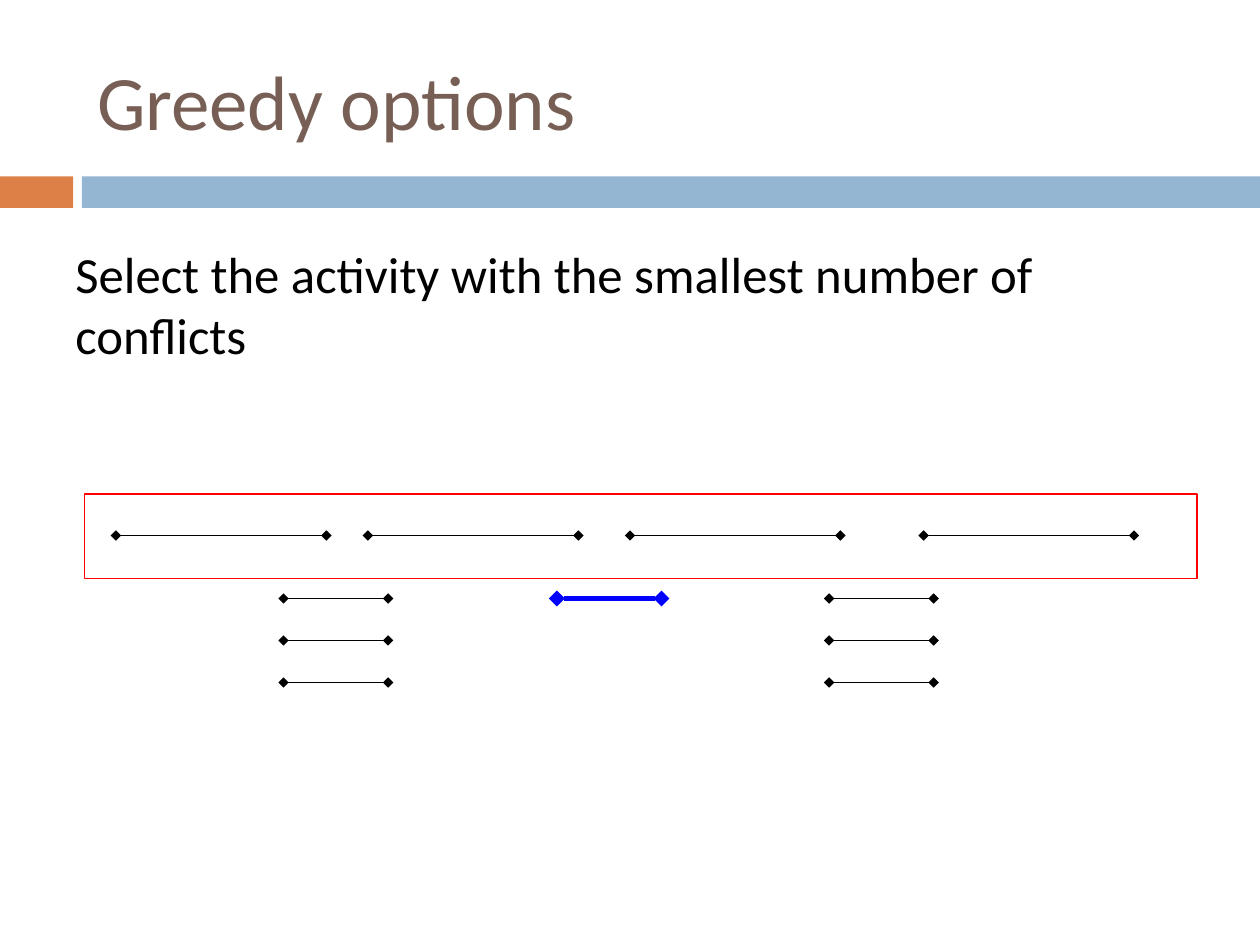
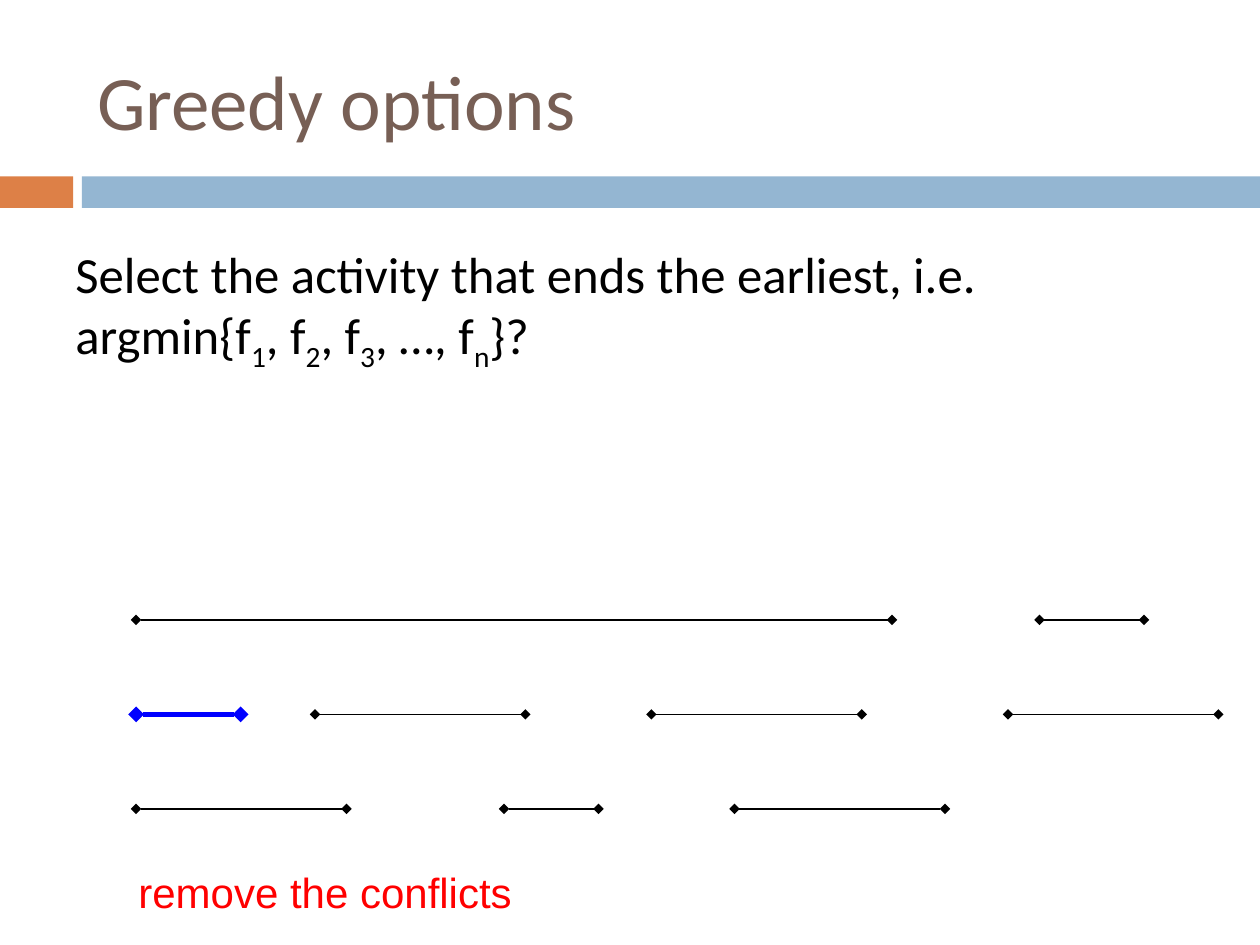
from dataclasses import dataclass

from lxml.etree import SubElement
from pptx import Presentation
from pptx.dml.color import RGBColor
from pptx.enum.shapes import MSO_CONNECTOR, MSO_SHAPE
from pptx.enum.text import MSO_ANCHOR, MSO_AUTO_SIZE, PP_ALIGN
from pptx.oxml.ns import qn
from pptx.util import Inches, Pt


@dataclass(frozen=True)
class Theme:
    title_color: RGBColor = RGBColor(0x77, 0x5F, 0x55)
    accent: RGBColor = RGBColor(0xDD, 0x80, 0x47)
    band: RGBColor = RGBColor(0x94, 0xB6, 0xD2)
    ink: RGBColor = RGBColor(0, 0, 0)
    chosen: RGBColor = RGBColor(0, 0, 0xFF)
    alert: RGBColor = RGBColor(0xFF, 0, 0)
    heading_font: str = "Calibri"
    note_font: str = "Arial"
    title_size: int = 44
    body_size: int = 29
    note_size: int = 24
    thin: float = 0.75
    thick: float = 3


THEME = Theme()
LONG = 1.67
SHORT = 0.83


def format_font(font, name, size, color):
    font.name = name
    font.size = Pt(size)
    font.color.rgb = color


def add_rectangle(slide, left, top, width, height, fill=None, line=None):
    shape = slide.shapes.add_shape(
        MSO_SHAPE.RECTANGLE, Inches(left), Inches(top), Inches(width), Inches(height))
    shape.shadow.inherit = False
    if fill is None:
        shape.fill.background()
    else:
        shape.fill.solid()
        shape.fill.fore_color.rgb = fill
    if line is None:
        shape.line.fill.background()
    else:
        shape.line.color.rgb = line
        shape.line.width = Pt(THEME.thin)


def add_title_slide(presentation, title_text):
    """Add a title-only slide with the two-colour band below its title."""
    slide = presentation.slides.add_slide(presentation.slide_layouts[5])
    add_rectangle(slide, 0, 1.4, 0.58, 0.25, fill=THEME.accent)
    add_rectangle(slide, 0.65, 1.4, 9.35, 0.25, fill=THEME.band)
    title = slide.shapes.title
    title.left, title.top = Inches(0.67), Inches(0.25)
    title.width, title.height = Inches(8.92), Inches(1.08)
    text_frame = title.text_frame
    text_frame.text = title_text
    text_frame.auto_size = MSO_AUTO_SIZE.NONE
    text_frame.vertical_anchor = MSO_ANCHOR.MIDDLE
    paragraph = text_frame.paragraphs[0]
    paragraph.alignment = PP_ALIGN.LEFT
    format_font(paragraph.runs[0].font, THEME.heading_font, THEME.title_size,
                THEME.title_color)
    return slide


def add_body(slide, pieces, width, height):
    """Write one paragraph in which every second piece is a subscript."""
    box = slide.shapes.add_textbox(
        Inches(0.5), Inches(1.88), Inches(width), Inches(height))
    box.text_frame.word_wrap = True
    paragraph = box.text_frame.paragraphs[0]
    for index, piece in enumerate(pieces):
        run = paragraph.add_run()
        run.text = piece
        format_font(run.font, THEME.heading_font, THEME.body_size, THEME.ink)
        if index % 2:
            run._r.get_or_add_rPr().set("baseline", "-25000")


def add_note(slide, text, left, top, width, height):
    box = slide.shapes.add_textbox(
        Inches(left), Inches(top), Inches(width), Inches(height))
    box.text_frame.text = text
    box.text_frame.word_wrap = False
    box.text_frame.auto_size = MSO_AUTO_SIZE.SHAPE_TO_FIT_TEXT
    format_font(box.text_frame.paragraphs[0].runs[0].font, THEME.note_font,
                THEME.note_size, THEME.alert)


def add_activity(slide, start, top, length, chosen=False):
    """Draw an activity as a time interval with a diamond at each end."""
    connector = slide.shapes.add_connector(
        MSO_CONNECTOR.STRAIGHT, Inches(start), Inches(top),
        Inches(start + length), Inches(top))
    connector.line.color.rgb = THEME.chosen if chosen else THEME.ink
    connector.line.width = Pt(THEME.thick if chosen else THEME.thin)
    line = connector.line._get_or_add_ln()
    for end in ("a:headEnd", "a:tailEnd"):
        SubElement(line, qn(end), type="diamond")
    SubElement(connector._element.spPr, qn("a:effectLst"))


def build_fewest_conflicts(presentation):
    slide = add_title_slide(presentation, "Greedy options")
    add_body(slide, ["Select the activity with the smallest number of conflicts"],
             9, 1.79)
    for start in (0.92, 2.92, 5, 7.33):
        add_activity(slide, start, 4.25, LONG)
    first_row, row_gap = 4.75, 1 / 3
    for start in (2.25, 6.58):
        for row in range(3):
            add_activity(slide, start, first_row + row * row_gap, SHORT)
    add_activity(slide, 4.42, first_row, SHORT, chosen=True)
    add_rectangle(slide, 0.67, 3.92, 8.83, 0.67, line=THEME.alert)


def build_earliest_end(presentation):
    slide = add_title_slide(presentation, "Greedy options")
    add_body(slide, ["Select the activity that ends the earliest, i.e. argmin{f",
                     "1", ", f", "2", ", f", "3", ", …, f", "n", "}?"], 8.27, 1.87)
    first_start, first_row, row_gap = 1.08, 4.92, 0.75
    rows = [
        [(first_start, 6), (8.25, SHORT)],
        [(2.5, LONG), (5.17, LONG), (8, LONG)],
        [(first_start, LONG), (4, 0.75), (5.83, LONG)],
    ]
    for row, activities in enumerate(rows):
        for start, length in activities:
            add_activity(slide, start, first_row + row * row_gap, length)
    add_activity(slide, first_start, first_row + row_gap, SHORT, chosen=True)
    add_note(slide, "remove the conflicts", 1, 6.83, 3.19, 0.51)


def main():
    presentation = Presentation()
    presentation.slide_width = Inches(10)
    presentation.slide_height = Inches(7.5)
    build_fewest_conflicts(presentation)
    build_earliest_end(presentation)
    presentation.save("out.pptx")


if __name__ == "__main__":
    main()
